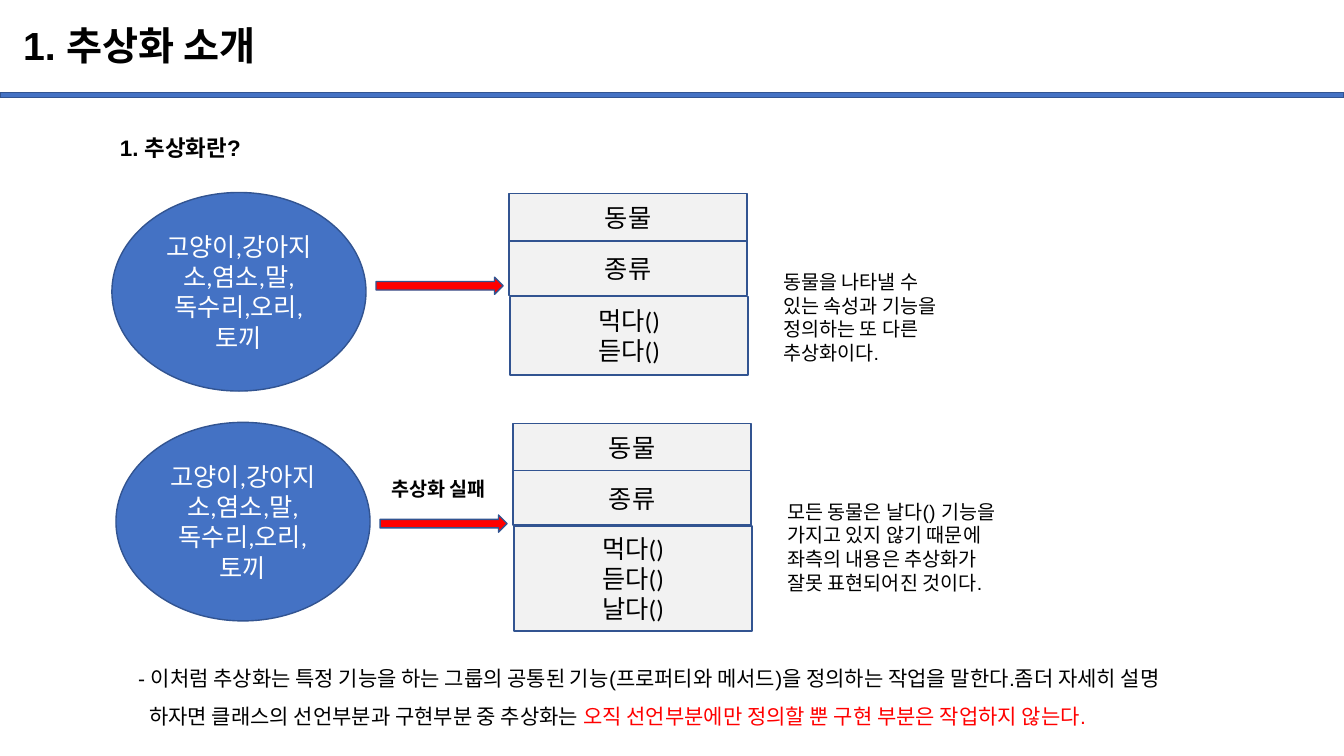
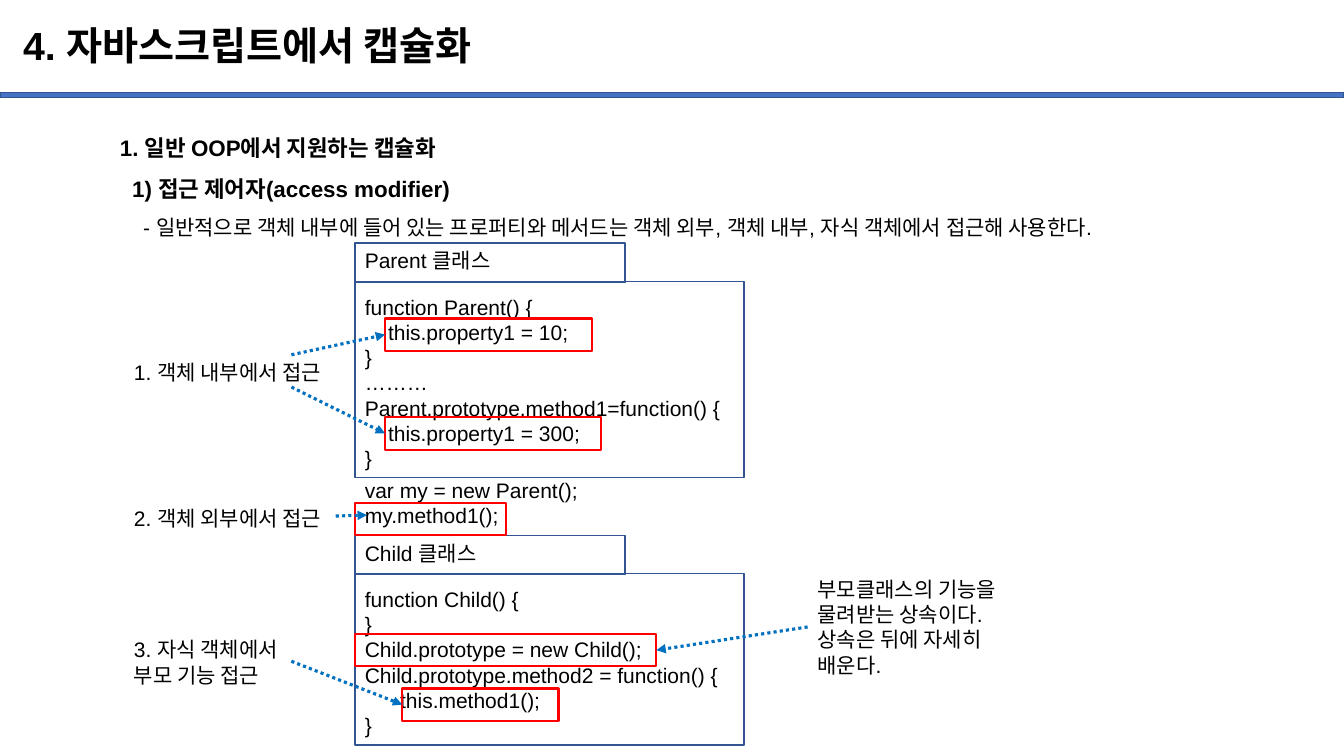
from dataclasses import dataclass

from lxml.etree import SubElement
from pptx import Presentation
from pptx.dml.color import RGBColor as RGB
from pptx.enum.dml import MSO_LINE as Dash
from pptx.enum.shapes import MSO_CONNECTOR as Connector, MSO_SHAPE as Shape
from pptx.enum.text import MSO_ANCHOR as Anchor, MSO_AUTO_SIZE as AutoSize, PP_ALIGN as Align
from pptx.oxml.ns import qn
from pptx.util import Inches, Pt


@dataclass(frozen=True)
class Theme:
    """Colours, fonts and type sizes of the deck."""
    blue: RGB = RGB(0x44, 0x72, 0xC4)
    outline: RGB = RGB(0x32, 0x54, 0x91)
    pale: RGB = RGB(0xF2, 0xF2, 0xF2)
    red: RGB = RGB(0xFF, 0, 0)
    pointer: RGB = RGB(0, 0x70, 0xC0)
    black: RGB = RGB(0, 0, 0)
    white: RGB = RGB(0xFF, 0xFF, 0xFF)
    text_font: str = "Arial"
    shape_font: str = "Calibri"
    title: int = 28
    shape: int = 18
    heading: int = 16
    body: int = 15
    note: int = 14


@dataclass(frozen=True)
class Line:
    """One paragraph with its indent in inches and its space before in points."""
    text: str
    indent: float = 0
    bold: bool = False
    before: float = 0
    accent: str = ""


class Slides:
    """Holds the deck, the theme and the current slide."""

    def __init__(self, theme):
        """Start a wide deck whose layout carries the title place and the band."""
        self.theme = theme
        self.deck = Presentation()
        self.deck.slide_width, self.deck.slide_height = Inches(13.33), Inches(7.5)
        self.layout = self.deck.slide_layouts[1]
        self.place(self.layout.placeholders[0], 0.13, 0.1, 11.5, 0.74)
        self.page = None

    def place(self, box, left, top, width, height):
        """Move and size a box."""
        box.left, box.top = Inches(left), Inches(top)
        box.width, box.height = Inches(width), Inches(height)

    def style(self, para, size, color=None, bold=False, font=None):
        """Format every run of a paragraph."""
        for span in para.runs:
            span.font.name = font or self.theme.text_font
            span.font.size = Pt(size)
            span.font.bold = bold
            span.font.color.rgb = color or self.theme.black

    def add_page(self, title, lines, body_height):
        """Add a slide with its title and its body list."""
        first = self.page is None
        self.page = self.deck.slides.add_slide(self.layout)
        if first:
            band = self.shape(Shape.RECTANGLE, 0, 0.92, 13.33, 0.05, self.theme.blue)
            self.layout.shapes.element.append(band.element)
        heading, body = self.page.placeholders
        heading.text_frame.text = title
        heading.text_frame.vertical_anchor = Anchor.MIDDLE
        para = heading.text_frame.paragraphs[0]
        para.alignment, para.line_spacing = Align.LEFT, 0.9
        self.style(para, self.theme.title, bold=True)
        self.place(body, 1.09, 1.15, 11.72, body_height)
        self.body(body.text_frame, lines)

    def body(self, frame, lines):
        """Fill the body placeholder with unbulleted, indented lines."""
        frame.auto_size = AutoSize.NONE
        frame.text = "\n".join(line.text for line in lines)
        for para, line in zip(frame.paragraphs, lines):
            para.line_spacing, para.space_before = 1.5, Pt(line.before)
            self.indent(para, line.indent)
            SubElement(para._p.get_or_add_pPr(), qn("a:buNone"))
            if line.accent:
                para.add_run().text = line.accent
            size = self.theme.heading if line.bold else self.theme.body
            self.style(para, size, bold=line.bold)
            if line.accent:
                para.runs[-1].font.color.rgb = self.theme.red

    def indent(self, para, inches):
        """Set the left margin of a paragraph."""
        properties = para._p.get_or_add_pPr()
        properties.set("marL", str(Inches(inches)))
        properties.set("indent", "0")

    def shape(self, kind, left, top, width, height, fill=None, line=None, weight=1):
        """Add a flat shape; without a fill it is only an outline."""
        box = self.page.shapes.add_shape(
            kind, Inches(left), Inches(top), Inches(width), Inches(height))
        box.shadow.inherit = False
        if fill is None:
            box.fill.background()
        else:
            box.fill.solid()
            box.fill.fore_color.rgb = fill
        box.line.color.rgb = line or self.theme.outline
        box.line.width = Pt(weight)
        return box

    def label(self, box, text, color):
        """Write centred text in a shape."""
        frame = box.text_frame
        frame.text = text
        frame.word_wrap = True
        frame.vertical_anchor = Anchor.MIDDLE
        for para in frame.paragraphs:
            para.alignment = Align.CENTER
            self.style(para, self.theme.shape, color, font=self.theme.shape_font)

    def text(self, left, top, width, height, lines, size=None, wrap=True):
        """Add a text box with one paragraph for each line."""
        box = self.page.shapes.add_textbox(
            Inches(left), Inches(top), Inches(width), Inches(height))
        frame = box.text_frame
        frame.word_wrap = wrap
        frame.text = "\n".join(line.text for line in lines)
        for para, line in zip(frame.paragraphs, lines):
            if line.indent:
                self.indent(para, line.indent)
            self.style(para, size or self.theme.body, bold=line.bold)

    def highlight(self, left, top, width):
        """Frame a line of code in red."""
        self.shape(Shape.RECTANGLE, left, top, width, 0.32, line=self.theme.red, weight=1.5)

    def pointer(self, x1, y1, x2, y2):
        """Draw a dotted arrow."""
        arrow = self.page.shapes.add_connector(
            Connector.STRAIGHT, Inches(x1), Inches(y1), Inches(x2), Inches(y2))
        arrow.line.color.rgb = self.theme.pointer
        arrow.line.width = Pt(2.25)
        arrow.line.dash_style = Dash.ROUND_DOT
        properties = arrow.element.spPr
        SubElement(properties.find(qn("a:ln")), qn("a:tailEnd"), type="triangle")
        SubElement(properties, qn("a:effectLst"))

    def abstraction(self, left, top, methods, methods_height, arrow_drop, note, note_width):
        """Show a group of animals, the class made from it and a remark."""
        theme = self.theme
        group = self.shape(Shape.OVAL, left, top, 2.52, 1.97, theme.blue)
        self.label(group, "고양이,강아지\n소,염소,말,\n독수리,오리,토끼", theme.white)
        rows = [("동물", 3.94, 0.01, 0.47), ("종류", 3.94, 0.48, 0.54),
                (methods, 3.95, 1.03, methods_height)]
        for words, across, down, height in rows:
            row = self.shape(Shape.RECTANGLE, left + across, top + down, 2.36, height, theme.pale)
            self.label(row, words, theme.black)
        self.shape(Shape.RIGHT_ARROW, left + 2.62, top + arrow_drop, 1.26, 0.17, theme.red)
        self.text(left + 6.56, top + 0.72, note_width, 1.04,
                  [Line(words) for words in note], theme.note, wrap=False)

    def class_panel(self, top, name, height, code):
        """Show a class name tab above its code."""
        left = 3.52
        self.shape(Shape.RECTANGLE, left, top, 2.68, 0.39)
        self.shape(Shape.RECTANGLE, left, top + 0.38, 3.86, height)
        self.text(left, top, 2.03, 0.35, [Line(name)])
        self.text(left, top + 0.46, 4.09, height - 0.08, code)


def abstraction_page(slides):
    """Build the introduction to abstraction."""
    slides.add_page("1. 추상화 소개", [
        Line("1. 추상화란?", bold=True),
        Line("- 이처럼 추상화는 특정 기능을 하는 그룹의 공통된 기능(프로퍼티와 메서드)을 "
             "정의하는 작업을 말한다.좀더 자세히 설명", 0.18, before=351),
        Line("하자면 클래스의 선언부분과 구현부분 중 추상화는 ", 0.29,
             accent="오직 선언부분에만 정의할 뿐 구현 부분은 작업하지 않는다."),
    ], 6.14)
    slides.abstraction(1.11, 1.91, "먹다()\n듣다()", 0.78, 0.84, [
        "동물을 나타낼 수", "있는 속성과 기능을", "정의하는 또 다른", "추상화이다."], 1.91)
    slides.abstraction(1.15, 4.19, "먹다()\n듣다()\n날다()", 1.04, 0.92, [
        "모든 동물은 날다() 기능을", "가지고 있지 않기 때문에",
        "좌측의 내용은 추상화가", "잘못 표현되어진 것이다."], 2.49)
    slides.text(3.78, 4.68, 1.25, 0.34, [Line("추상화 실패", bold=True)],
                slides.theme.note, wrap=False)


def encapsulation_page(slides):
    """Build the page on access to properties and methods."""
    slides.add_page("4. 자바스크립트에서 캡슐화", [
        Line("1. 일반 OOP에서 지원하는 캡슐화", bold=True),
        Line("1) 접근 제어자(access modifier)", 0.12, bold=True),
        Line("- 일반적으로 객체 내부에 들어 있는 프로퍼티와 메서드는 객체 외부, 객체 내부, "
             "자식 객체에서 접근해 사용한다.", 0.23),
    ], 1.26)
    slides.class_panel(2.41, "Parent 클래스", 1.95, [
        Line("function Parent() {"), Line("this.property1 = 10;", 0.23), Line("}"),
        Line("………"), Line("Parent.prototype.method1=function() {"),
        Line("this.property1 = 300;", 0.23), Line("}")])
    slides.text(3.52, 4.69, 3.39, 0.61, [Line("var my = new Parent();"), Line("my.method1();")])
    slides.class_panel(5.31, "Child 클래스", 1.7, [
        Line("function Child() {"), Line("}"), Line("Child.prototype = new Child();"),
        Line("Child.prototype.method2 = function() {"),
        Line("this.method1();", 0.35), Line("}")])

    for top, height, words in [
            (3.52, 0.35, ["1. 객체 내부에서 접근"]),
            (4.97, 0.35, ["2. 객체 외부에서 접근"]),
            (6.27, 0.61, ["3. 자식 객체에서", "부모 기능 접근"])]:
        slides.text(1.23, top, 2.29, height, [Line(word) for word in words])
    slides.text(8.01, 5.67, 2.29, 1.11, [
        Line("부모클래스의 기능을 물려받는 상속이다."), Line("상속은 뒤에 자세히 배운다.")])

    for left, top, width in [(3.82, 3.16, 2.05), (3.82, 4.14, 2.14), (3.52, 4.99, 1.5),
                             (3.52, 6.29, 2.99), (3.99, 6.83, 1.55)]:
        slides.highlight(left, top, width)
    for ends in [(2.89, 3.52, 3.82, 3.32), (2.89, 3.84, 3.82, 4.3), (3.33, 5.12, 3.64, 5.11),
                 (2.89, 6.56, 3.99, 6.99), (8.01, 6.22, 6.51, 6.45)]:
        slides.pointer(*ends)


slides = Slides(Theme())
abstraction_page(slides)
encapsulation_page(slides)
slides.deck.save("out.pptx")
